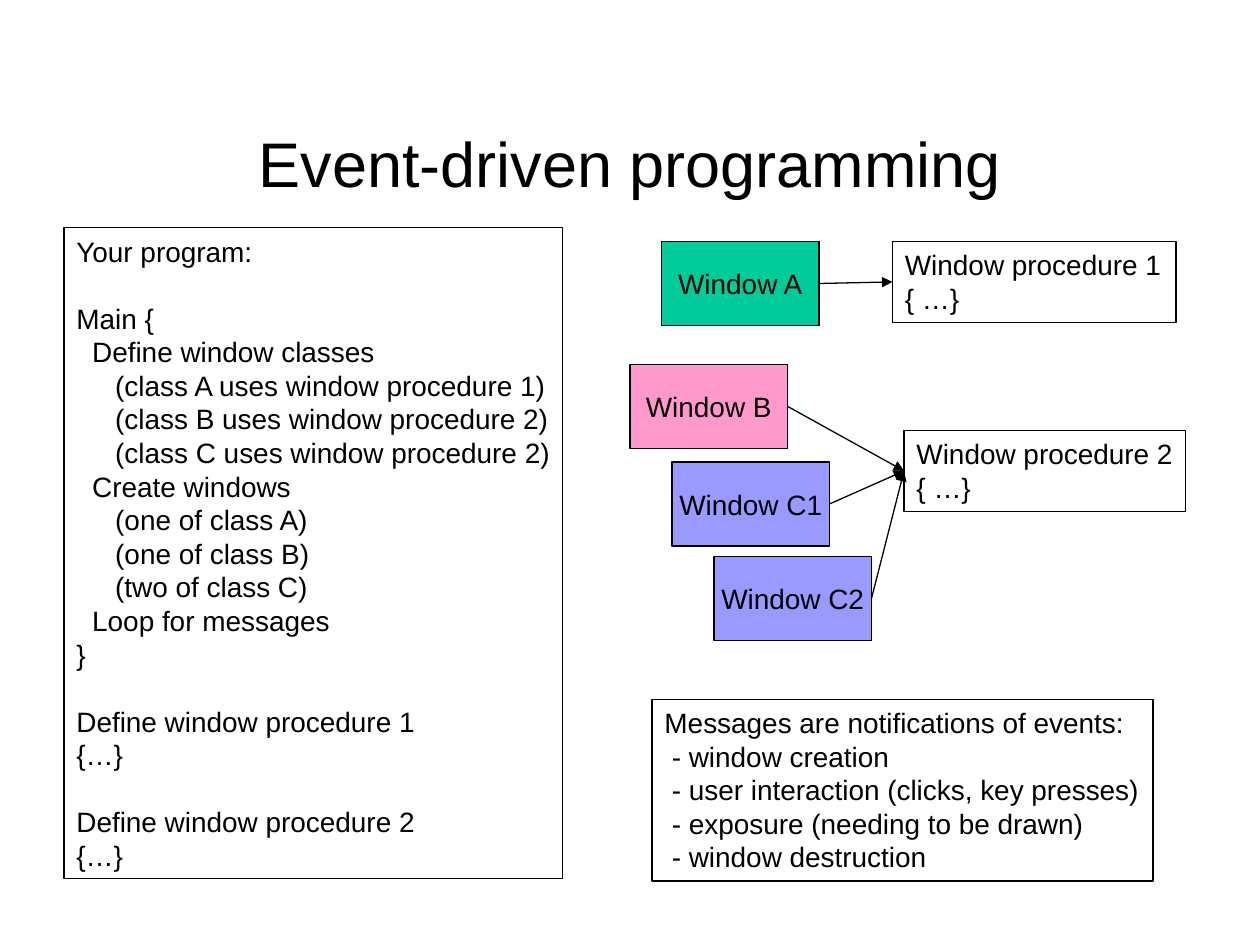
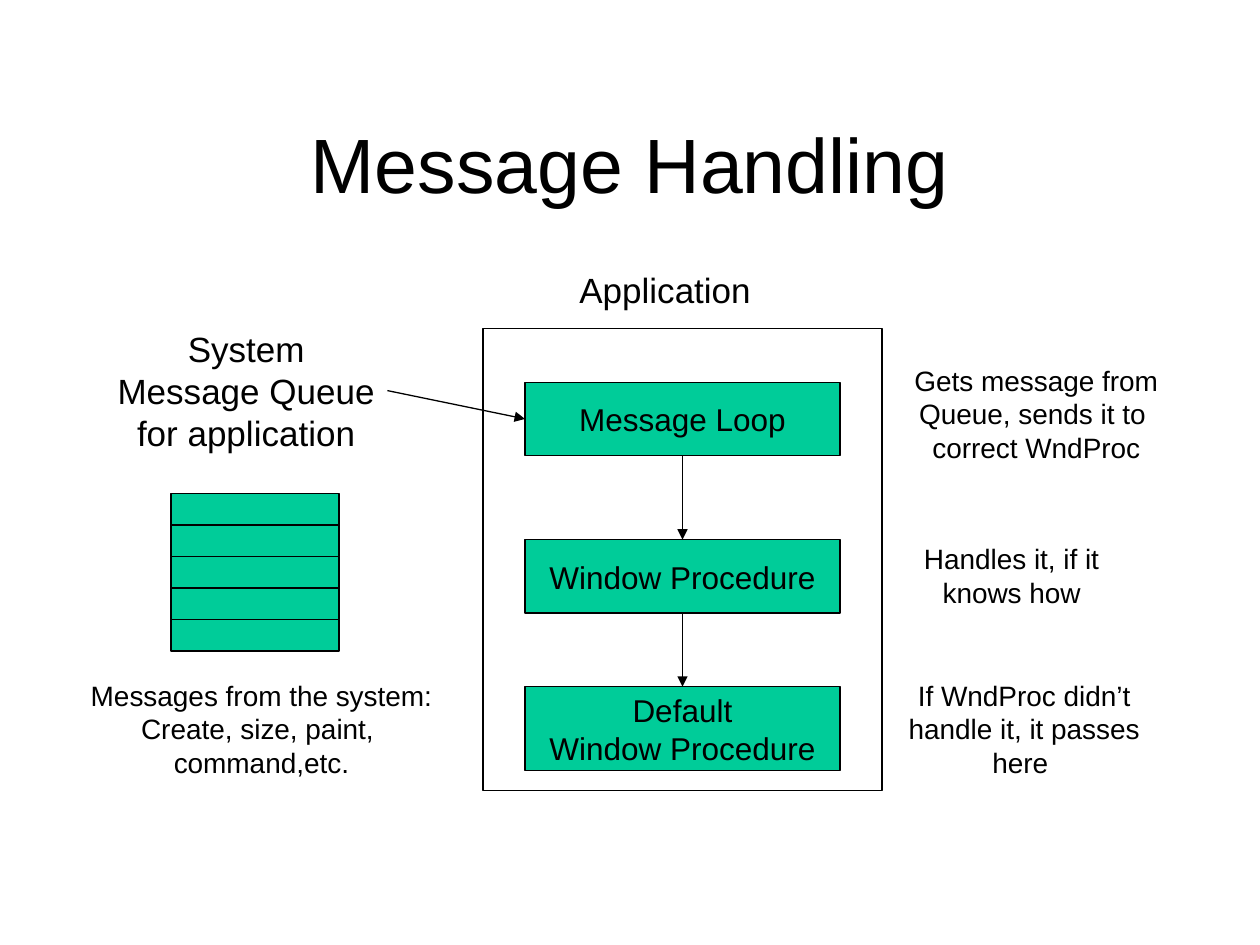
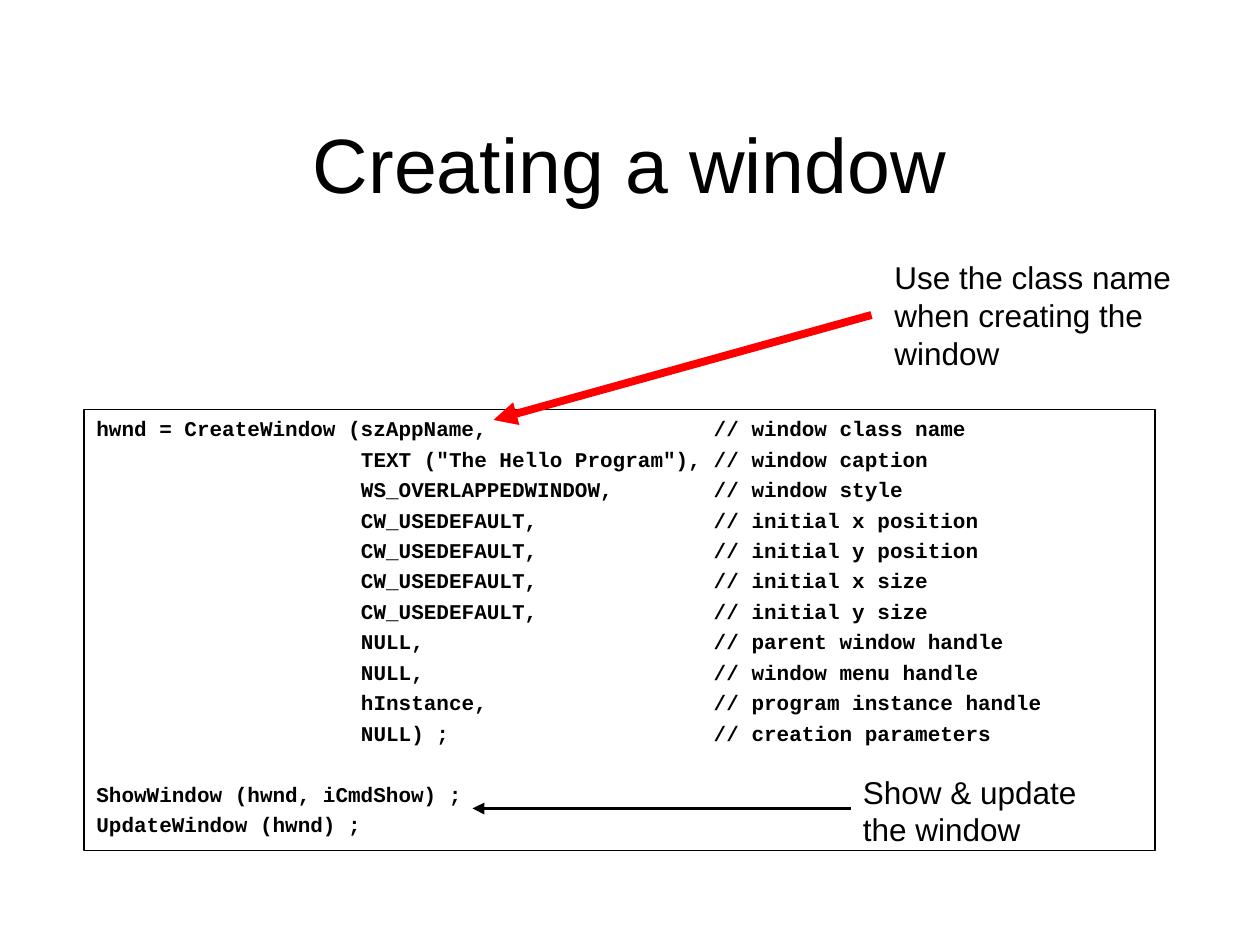
from lxml.etree import SubElement
from pptx import Presentation
from pptx.dml.color import RGBColor
from pptx.enum.shapes import MSO_CONNECTOR, MSO_SHAPE
from pptx.enum.text import MSO_ANCHOR, MSO_AUTO_SIZE, PP_ALIGN
from pptx.oxml.ns import qn
from pptx.util import Emu, Pt

PX = 7620  # EMU; 120 px to the inch
COLORS = {"ink": "000000", "green": "00CC99", "pink": "FF99CC",
          "violet": "9999FF", "red": "FF0000"}
TOP, LEFT, BOTTOM, RIGHT = range(4)  # connection sites of a rectangle

PROGRAM = [
    [(0, "Your program:")],
    [(0, "Main {"),
     (15, "Define window classes"),
     (37, "(class A uses window procedure 1)"),
     (37, "(class B uses window procedure 2)"),
     (37, "(class C uses window procedure 2)"),
     (15, "Create windows"),
     (37, "(one of class A)"),
     (37, "(one of class B)"),
     (37, "(two of class C)"),
     (15, "Loop for messages"),
     (0, "}")],
    [(0, "Define window procedure 1"), (0, "{…}")],
    [(0, "Define window procedure 2"), (0, "{…}")],
]
EVENTS = [
    [(0, "Messages are notifications of events:"),
     (7, "- window creation"),
     (7, "- user interaction (clicks, key presses)"),
     (7, "- exposure (needing to be drawn)"),
     (7, "- window destruction")],
]
ARGUMENTS = [
    ('TEXT ("The Hello Program"),', "window caption"),
    ("WS_OVERLAPPEDWINDOW,", "window style"),
    ("CW_USEDEFAULT,", "initial x position"),
    ("CW_USEDEFAULT,", "initial y position"),
    ("CW_USEDEFAULT,", "initial x size"),
    ("CW_USEDEFAULT,", "initial y size"),
    ("NULL,", "parent window handle"),
    ("NULL,", "window menu handle"),
    ("hInstance,", "program instance handle"),
    ("NULL) ;", "creation parameters"),
]


def px(length):
    return Emu(length * PX)


def rgb(name):
    return RGBColor.from_string(COLORS[name])


class Deck:
    """Holds the shared style and the slide being filled."""

    def __init__(self):
        self.prs = Presentation()
        self.prs.slide_width, self.prs.slide_height = px(1200), px(900)
        self.slide = None

    def new_slide(self, title, size=44):
        self.slide = self.prs.slides.add_slide(self.prs.slide_layouts[6])
        self.label(title, 90, 80, 1020, 150, size, PP_ALIGN.CENTER,
                   anchor=MSO_ANCHOR.MIDDLE, grow=False)

    def set_text(self, shape, text, size, align=PP_ALIGN.LEFT, anchor=MSO_ANCHOR.TOP,
                 wrap=True, grow=True, font="Arial", bold=False):
        frame = shape.text_frame
        frame.text = text
        frame.word_wrap = wrap
        frame.vertical_anchor = anchor
        frame.auto_size = MSO_AUTO_SIZE.SHAPE_TO_FIT_TEXT if grow else MSO_AUTO_SIZE.NONE
        for paragraph in frame.paragraphs:
            paragraph.alignment = align
            for run in paragraph.runs:
                run.font.name, run.font.size, run.font.bold = font, Pt(size), bold
                run.font.color.rgb = rgb("ink")

    def label(self, text, left, top, width, height, size, align=PP_ALIGN.LEFT, **style):
        area = self.slide.shapes.add_textbox(px(left), px(top), px(width), px(height))
        self.set_text(area, text, size, align, **style)
        return area

    def frame(self, left, top, width, height, fill=None):
        outline = self.slide.shapes.add_shape(
            MSO_SHAPE.RECTANGLE, px(left), px(top), px(width), px(height))
        outline.shadow.inherit = False
        outline.line.color.rgb, outline.line.width = rgb("ink"), Pt(0.75)
        if fill:
            outline.fill.solid()
            outline.fill.fore_color.rgb = rgb(fill)
        else:
            outline.fill.background()
        return outline

    def node(self, text, left, top, width, height, fill, size):
        box = self.frame(left, top, width, height, fill)
        self.set_text(box, text, size, PP_ALIGN.CENTER, MSO_ANCHOR.MIDDLE,
                      wrap=False, grow=False)
        return box

    def panel(self, text, left, top, width, height, size=16, **style):
        box = self.frame(left, top, width, height)
        self.set_text(box, text, size, **style)
        return box

    def listing(self, blocks, left, top, width, height, gap=19.2):
        """Panel of (indent, text) lines, with a gap before each later block."""
        lines = [line for block in blocks for line in block]
        box = self.panel("\n".join(text for _, text in lines), left, top, width, height,
                         wrap=False)
        paragraphs = box.text_frame.paragraphs
        for paragraph, (indent, _) in zip(paragraphs, lines):
            paragraph._p.get_or_add_pPr().set("marL", str(px(indent)))
        start = 0
        for block in blocks[:-1]:
            start += len(block)
            paragraphs[start].space_before = Pt(gap)

    def arrow(self, start=(0, 0), end=(0, 0), color="ink", width=0.75):
        line = self.slide.shapes.add_connector(
            MSO_CONNECTOR.STRAIGHT, *(px(value) for value in (*start, *end)))
        line.line.color.rgb, line.line.width = rgb(color), Pt(width)
        SubElement(line.line._get_or_add_ln(), qn("a:tailEnd"), type="triangle")
        SubElement(line._element.spPr, qn("a:effectLst"))
        return line

    def link(self, source, source_site, target, target_site):
        line = self.arrow()
        line.begin_connect(source, source_site)
        line.end_connect(target, target_site)


def event_driven(deck):
    deck.new_slide("Event-driven programming", 36)
    deck.listing(PROGRAM, 61, 217, 475, 620)
    procedure_1 = deck.panel("Window procedure 1\n{ …}", 850, 230, 270, 77)
    procedure_2 = deck.panel("Window procedure 2\n{ …}", 861, 410, 268, 77, wrap=False)
    for name, left, top, fill, procedure in (
            ("A", 630, 230, "green", procedure_1),
            ("B", 600, 347, "pink", procedure_2),
            ("C1", 640, 440, "violet", procedure_2),
            ("C2", 680, 530, "violet", procedure_2)):
        window = deck.node(f"Window {name}", left, top, 150, 80, fill, 16)
        deck.link(window, RIGHT, procedure, LEFT)
    deck.listing(EVENTS, 621, 666, 477, 173)


def message_handling(deck):
    deck.new_slide("Message Handling")
    center = PP_ALIGN.CENTER
    for slot in range(5):
        deck.frame(163, 470 + 30 * slot, 160, 30, "green")
    queue = deck.label("System\vMessage Queue\nfor application", 100, 306, 269, 132, 20,
                       center, wrap=False)
    deck.label("Messages from the system: \nCreate, size, paint, \ncommand,etc.",
               71, 640, 356, 108, 16, center, wrap=False)

    deck.label("Application", 540, 250, 187, 53, 20, wrap=False)
    deck.frame(460, 313, 380, 440)
    stages = [deck.node(text, 500, top, 300, height, "green", 18) for text, top, height in (
        ("Message Loop", 364, 70),
        ("Window Procedure", 514, 70),
        ("Default\vWindow Procedure", 654, 80))]
    deck.link(queue, RIGHT, stages[0], LEFT)
    for upper, lower in zip(stages, stages[1:]):
        deck.link(upper, BOTTOM, lower, TOP)

    deck.label("Gets message from\nQueue, sends it to \ncorrect WndProc",
               859, 340, 256, 108, 16, center, wrap=False)
    deck.label("Handles it, if it knows how", 840, 510, 247, 77, 16, center)
    deck.label("If WndProc didn’t handle it, it passes here ", 852, 640, 247, 108, 16, center)


def creating_window(deck):
    deck.new_slide("Creating a window")
    code = ["hwnd = CreateWindow (szAppName,\t// window class name"]
    code += [f"\t{argument}\t// {meaning}" for argument, meaning in ARGUMENTS]
    code += ["ShowWindow (hwnd, iCmdShow) ;", "UpdateWindow (hwnd) ;"]
    box = deck.panel("\n".join(code), 80, 390, 1020, 420, 12,
                     grow=False, font="Courier New", bold=True)
    for paragraph, line in zip(box.text_frame.paragraphs, code):
        paragraph.space_before = Pt(20.4 if line.startswith("ShowWindow") else 3)
        stops = SubElement(paragraph._p.get_or_add_pPr(), qn("a:tabLst"))
        for column in (252, 588):
            SubElement(stops, qn("a:tab"), pos=str(px(column)), algn="l")

    deck.arrow((830, 300), (470, 400), "red", 4.5)
    deck.label("Use the class name when creating the window", 840, 240, 290, 120, 18)
    deck.arrow((810, 770), (450, 770), width=2.25)
    deck.label("Show & update the window", 810, 730, 260, 84, 18)


def main():
    deck = Deck()
    event_driven(deck)
    message_handling(deck)
    creating_window(deck)
    deck.prs.save("out.pptx")


if __name__ == "__main__":
    main()
